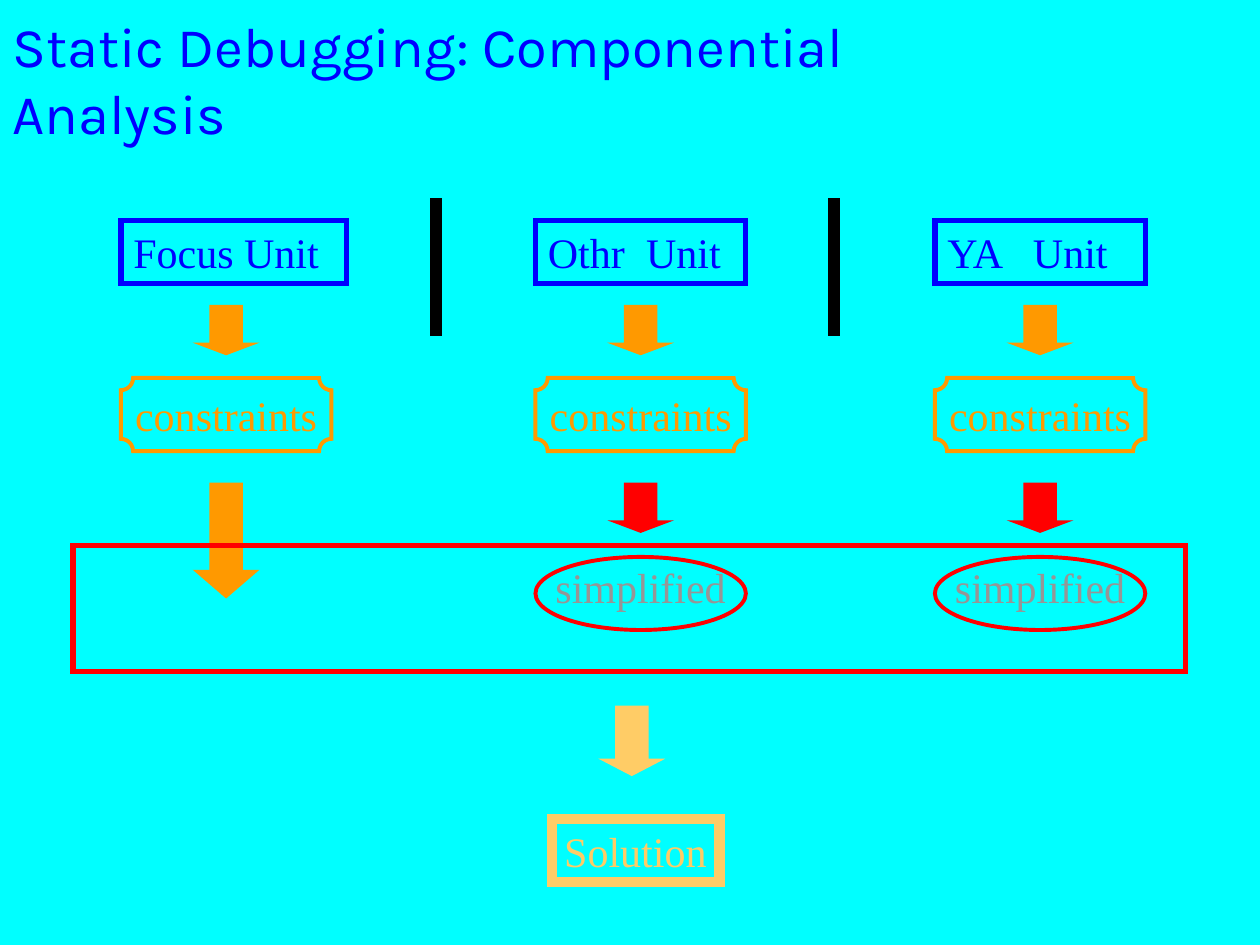
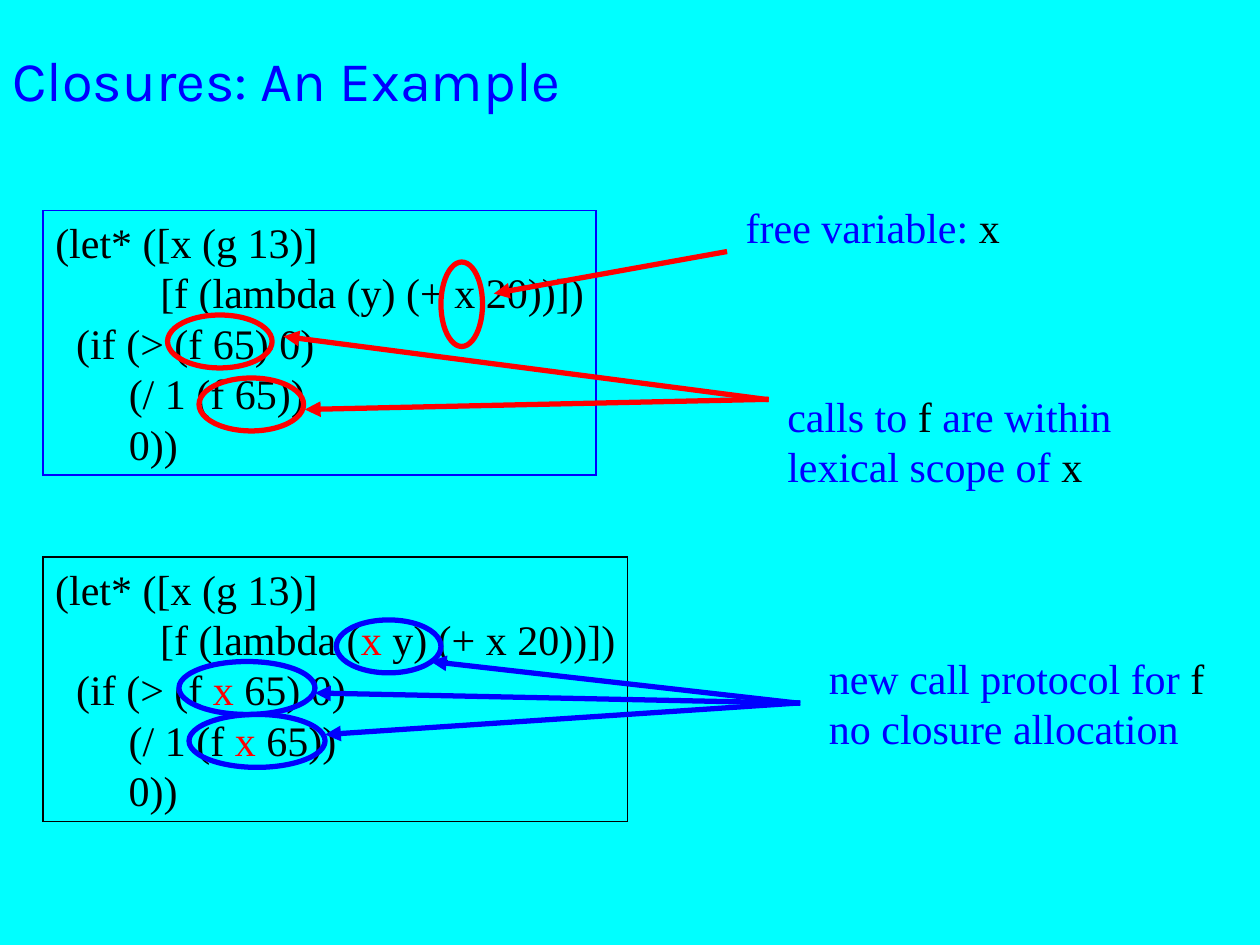
from lxml import etree
from pptx import Presentation
from pptx.dml.color import RGBColor
from pptx.enum import shapes, text
from pptx.oxml import ns
from pptx.util import Inches, Pt

COLORS = {
    "cyan": "00FFFF", "blue": "0000FF", "black": "000000", "red": "FF0000",
    "orange": "FF9900", "sand": "FFCC66", "gray": "969696",
}
RGB = {name: RGBColor.from_string(value) for name, value in COLORS.items()}
KIND = shapes.MSO_SHAPE
ANCHOR = text.MSO_ANCHOR


def write(shape, lines, color="blue", accent="black", size=24, font="Times New Roman",
          anchor=ANCHOR.TOP, align=text.PP_ALIGN.LEFT, wrap=True,
          insets=(0.1, 0.05, 0, 0.05), indents=(), tab=None):
    """Fill a shape with lines; the parts between bars take the accent colour."""
    frame = shape.text_frame
    frame.word_wrap = wrap
    frame.vertical_anchor = anchor
    (frame.margin_left, frame.margin_top,
     frame.margin_right, frame.margin_bottom) = [Inches(inset) for inset in insets]
    for i, line in enumerate(lines):
        paragraph = frame.paragraphs[0] if i == 0 else frame.add_paragraph()
        paragraph.alignment = align
        properties = paragraph._p.get_or_add_pPr()
        if indents:
            properties.set("marL", str(Inches(indents[i])))
            properties.set("indent", "0")
        if tab:
            stops = etree.SubElement(properties, ns.qn("a:tabLst"))
            etree.SubElement(stops, ns.qn("a:tab"), pos=str(Inches(tab)), algn="l")
        for j, part in enumerate(line.split("|")):
            if part:
                run = paragraph.add_run()
                run.text = part
                run.font.name = font
                run.font.size = Pt(size)
                run.font.color.rgb = RGB[accent if j % 2 else color]


def draw(slide, kind, box, fill=None, line=None, width=3):
    shape = slide.shapes.add_shape(kind, *[Inches(value) for value in box])
    shape.shadow.inherit = False
    if fill:
        shape.fill.solid()
        shape.fill.fore_color.rgb = RGB[fill]
    else:
        shape.fill.background()
    if line:
        shape.line.color.rgb = RGB[line]
        shape.line.width = Pt(width)
        etree.SubElement(shape.line._get_or_add_ln(), ns.qn("a:miter"), lim="800000")
    else:
        shape.line.fill.background()
    return shape


prs = Presentation()
prs.slide_width, prs.slide_height = Inches(10), Inches(7.5)
backdrop = prs.slide_master.background.fill
backdrop.solid()
backdrop.fore_color.rgb = RGB["cyan"]

# Slides and their titles
slides = []
for title in ("Static Debugging: Componential Analysis", "Closures: An Example"):
    slide = prs.slides.add_slide(prs.slide_layouts[6])
    heading = slide.shapes.add_textbox(0, 0, Inches(8.5), Inches(1.25))
    write(heading, [title], size=32, font="Karla", anchor=ANCHOR.MIDDLE,
          insets=(0.1, 0.05, 0.1, 0.05))
    slides.append(slide)
analysis, closures = slides

# Analysis: one column per unit
ARROW_WIDTH = 0.53
CENTERED = {"anchor": ANCHOR.MIDDLE, "align": text.PP_ALIGN.CENTER, "wrap": False}
units = [
    # left, unit, unit box width, tab stop, is simplified
    (0.96, "Focus Unit", 1.79, None, False),
    (4.25, "Othr\tUnit", 1.67, 0.78, True),
    (7.42, "YA\tUnit", 1.67, 0.68, True),
]
for left, unit, unit_width, tab, simplified in units:
    unit_box = draw(analysis, KIND.RECTANGLE, (left, 1.75, unit_width, 0.5), line="blue")
    write(unit_box, [unit], tab=tab)

    constraints = draw(analysis, KIND.PLAQUE, (left, 3, 1.67, 0.58), line="orange", width=2.25)
    write(constraints, ["constraints"], color="orange", insets=(0, 0.01, 0, 0), **CENTERED)

    # Arrows: top, height, head length, colour
    arrows = [(2.42, 0.4, 0.25, "orange")]
    if simplified:
        arrows.append((3.83, 0.4, 0.25, "red"))
        result = draw(analysis, KIND.OVAL, (left, 4.42, 1.67, 0.58), line="red", width=2.25)
        write(result, ["simplified"], color="gray", insets=(0, 0, 0, 0.1), **CENTERED)
    else:
        arrows.append((3.83, 0.92, 0.43, "orange"))
    for top, height, head, color in arrows:
        arrow = draw(analysis, KIND.DOWN_ARROW, (left + 0.57, top, ARROW_WIDTH, height), fill=color)
        arrow.adjustments[1] = head

# Analysis: combined system, solution and unit dividers
draw(analysis, KIND.RECTANGLE, (0.58, 4.33, 8.83, 1), line="red")
solve = draw(analysis, KIND.DOWN_ARROW, (4.75, 5.6, ARROW_WIDTH, 0.56), fill="sand")
solve.adjustments[1] = 0.26
solution = draw(analysis, KIND.RECTANGLE, (4.38, 6.5, 1.33, 0.5), line="sand", width=6)
write(solution, ["Solution"], color="sand")
for left in (3.42, 6.58):
    draw(analysis, KIND.RECTANGLE, (left, 1.58, 0.08, 1.08), fill="black", line="black", width=1)

# Closures: code before and after the change
SPACE = 1 / 12
code_indents = [SPACE * count for count in (0, 10, 2, 7, 7)]
programs = [
    ((0.34, 1.67, 4.39, 2.1), "blue",
     ["(let* ([x (g 13)]", "[f (lambda (y) (+ x 20))])", "(if (> (f 65) 0)",
      "(/ 1 (f 65))", "0))"]),
    ((0.34, 4.42, 4.64, 2.1), "black",
     ["(let* ([x (g 13)]", "[f (lambda (|x |y) (+ x 20))])", "(if (> (f |x |65) 0)",
      "(/ 1 (f |x| 65))", "0))"]),
]
for box, border, code in programs:
    program = draw(closures, KIND.RECTANGLE, box, line=border, width=1)
    write(program, code, color="black", accent="red", indents=code_indents)

# Closures: remarks, with the rings and arrows that point into the code
remarks = [
    # colour, remark box, remark, arrow start, [(ring, arrow tip)]
    ("red", (5.82, 1.55, 2.21, 0.5), ["free variable: |x"], (5.75, 2),
     [((3.5, 2.08, 0.33, 0.67), (3.92, 2.33))]),
    ("red", (6.15, 3.05, 2.85, 0.9), ["calls to |f |are within", "lexical scope of |x"], (6.08, 3.17),
     [((1.33, 2.5, 0.83, 0.42), (2.25, 2.67)),
      ((1.58, 3, 0.83, 0.42), (2.42, 3.25))]),
    ("blue", (6.48, 5.13, 3.18, 0.9), ["new call protocol for |f", "no closure allocation"], (6.33, 5.58),
     [((2.67, 4.92, 0.83, 0.42), (3.42, 5.25)),
      ((1.42, 5.25, 1.08, 0.42), (2.5, 5.5)),
      ((1.5, 5.67, 1.08, 0.42), (2.58, 5.83))]),
]
for color, box, remark, start, targets in remarks:
    for ring, tip in targets:
        draw(closures, KIND.OVAL, ring, line=color)
        pointer = closures.shapes.add_connector(
            shapes.MSO_CONNECTOR.STRAIGHT, *[Inches(value) for value in start + tip])
        pointer.line.color.rgb = RGB[color]
        pointer.line.width = Pt(3)
        stroke = pointer.line._get_or_add_ln()
        stroke.set("cap", "sq")
        etree.SubElement(stroke, ns.qn("a:tailEnd"), type="triangle")
        etree.SubElement(pointer._element.spPr, ns.qn("a:effectLst"))
    note = closures.shapes.add_textbox(*[Inches(value) for value in box])
    write(note, remark)

prs.save("out.pptx")
